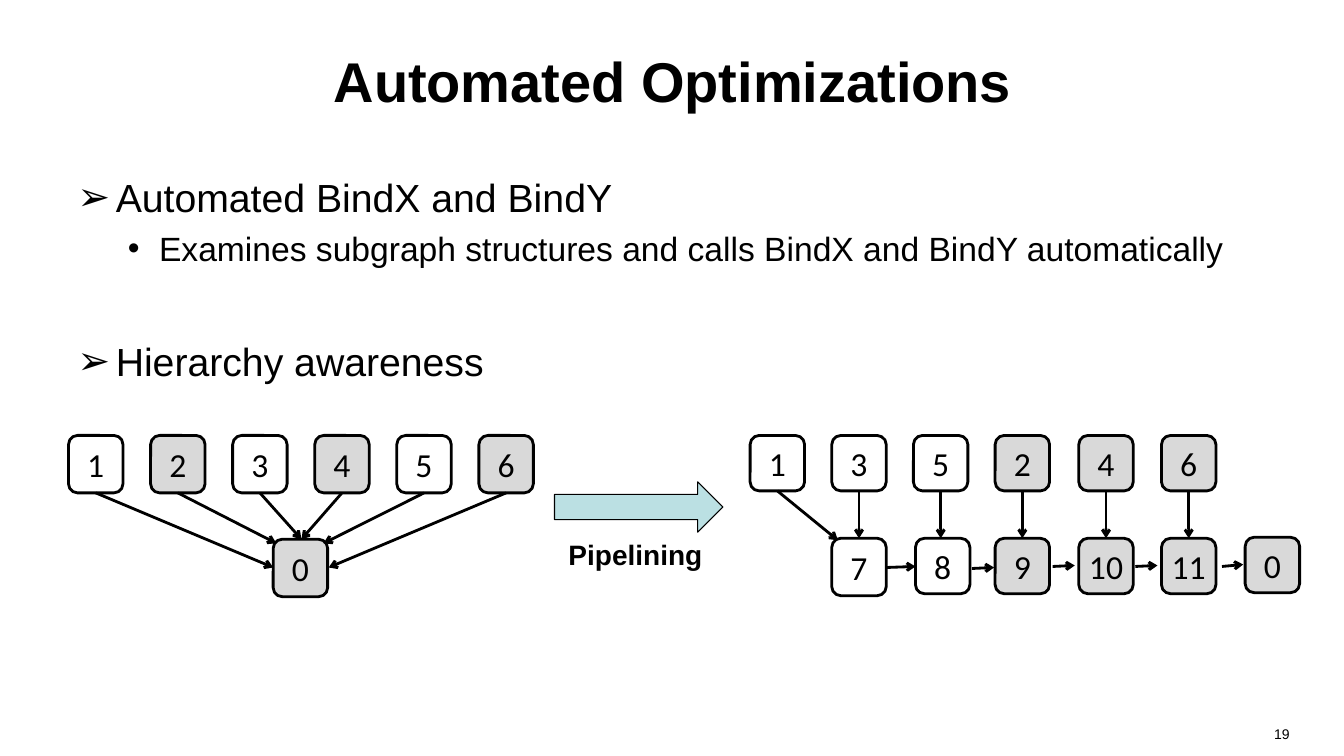
"""Build the slide on automated optimizations with its two subgraph diagrams."""
from lxml import etree
from pptx import Presentation
from pptx.dml.color import RGBColor
from pptx.enum.shapes import MSO_CONNECTOR, MSO_SHAPE
from pptx.enum.text import MSO_ANCHOR, PP_ALIGN
from pptx.oxml.ns import qn
from pptx.util import Inches, Pt

LEFT, CENTER, RIGHT = PP_ALIGN.LEFT, PP_ALIGN.CENTER, PP_ALIGN.RIGHT
TOP, MIDDLE = MSO_ANCHOR.TOP, MSO_ANCHOR.MIDDLE
ROUNDED, RIGHT_ARROW = MSO_SHAPE.ROUNDED_RECTANGLE, MSO_SHAPE.RIGHT_ARROW
STRAIGHT = MSO_CONNECTOR.STRAIGHT
BLACK, WHITE, GRAY, TEAL = "000000", "FFFFFF", "D9D9D9", "BBE0E3"


def color(value):
    return RGBColor.from_string(value)


def write(p, text, size, font="Arial", bold=False, align=LEFT):
    p.alignment = align
    r = p.add_run()
    r.text = text
    r.font.size = Pt(size)
    r.font.name = font
    r.font.bold = bold
    r.font.color.rgb = color(BLACK)


prs = Presentation()
prs.slide_width, prs.slide_height = Inches(13.33), Inches(7.5)
s = prs.slides.add_slide(prs.slide_layouts[6])

labels = [
    ("Automated Optimizations", 0.67, 0.17, 12, 1.25, 40, True, CENTER, MIDDLE),
    ("19", 9.78, 7.15, 3.11, 0.35, 10, False, RIGHT, TOP),
    ("Pipelining", 5.54, 5.28, 1.54, 0.44, 20, True, LEFT, TOP),
]
for text, x, y, w, h, size, bold, align, anchor in labels:
    tf = s.shapes.add_textbox(Inches(x), Inches(y), Inches(w), Inches(h)).text_frame
    tf.word_wrap = text != "Pipelining"
    tf.vertical_anchor = anchor
    write(tf.paragraphs[0], text, size, bold=bold, align=align)

bullets = [
    ("Automated BindX and BindY", 0, 0),
    ("Examines subgraph structures and calls BindX and BindY automatically", 1, 5.5),
    ("Hierarchy awareness", 0, 49),
]
levels = [("➢", 0.38, 0.38, 28), ("•", 0.81, 0.31, 24)]
tf = s.shapes.add_textbox(Inches(0.67), Inches(1.67), Inches(12), Inches(2.5)).text_frame
tf.word_wrap = True
for i, (text, level, space) in enumerate(bullets):
    mark, margin, hang, size = levels[level]
    p = tf.add_paragraph() if i else tf.paragraphs[0]
    p.level = level
    p.space_before = Pt(space)
    pPr = p._p.get_or_add_pPr()
    pPr.set("marL", str(Inches(margin)))
    pPr.set("indent", str(-Inches(hang)))
    etree.SubElement(pPr, qn("a:buFont")).set("typeface", "Arial")
    etree.SubElement(pPr, qn("a:buChar")).set("char", mark)
    write(p, text, size)

sp = s.shapes.add_shape(RIGHT_ARROW, Inches(5.5), Inches(4.78), Inches(1.67), Inches(0.5))
sp.shadow.inherit = False
sp.fill.solid()
sp.fill.fore_color.rgb = color(TEAL)
sp.line.color.rgb = color(BLACK)
sp.line.width = Pt(0.75)

node_w, row_top = 0.54, 4.32
star_x = [0.68 + 0.814 * i for i in range(6)]
chain_x = [7.44, 8.25, 9.06, 9.87, 10.7, 11.52]

star_nodes = [(str(i + 1), x, row_top, 0.57, (WHITE, GRAY)[i % 2])
              for i, x in enumerate(star_x)]
star_nodes.append(("0", 2.71, 5.35, 0.57, GRAY))
star_ends = [(2.71, 5.63), (2.74, 5.39), (2.99, 5.35),
             (2.99, 5.35), (3.21, 5.39), (3.26, 5.63)]
star_arrows = [(x + node_w / 2, 4.89, *end) for x, end in zip(star_x, star_ends)]

chain_nodes = [(text, x, row_top, 0.55, WHITE if i < 3 else GRAY)
               for i, (text, x) in enumerate(zip("135246", chain_x))]
chain_nodes += [
    ("7", 8.25, 5.34, 0.57, WHITE),
    ("8", 9.08, 5.34, 0.55, WHITE),
    ("9", 9.87, 5.34, 0.55, GRAY),
    ("10", 10.7, 5.34, 0.55, GRAY),
    ("11", 11.52, 5.34, 0.55, GRAY),
    ("0", 12.35, 5.33, 0.55, GRAY),
]
chain_arrows = [(x + node_w / 2, 4.87, x + node_w / 2, 5.34) for x in chain_x[1:]]
chain_arrows += [
    (7.71, 4.87, 8.31, 5.36),
    (8.79, 5.63, 9.08, 5.62),
    (9.64, 5.64, 9.86, 5.63),
    (10.44, 5.62, 10.66, 5.61),
    (11.26, 5.62, 11.48, 5.61),
    (12.12, 5.62, 12.33, 5.6),
]

for nodes, arrows in [(star_nodes, star_arrows), (chain_nodes, chain_arrows)]:
    group = s.shapes.add_group_shape()
    for text, x, y, h, fill in nodes:
        sp = group.shapes.add_shape(ROUNDED, Inches(x), Inches(y), Inches(node_w), Inches(h))
        sp.shadow.inherit = False
        sp.fill.solid()
        sp.fill.fore_color.rgb = color(fill)
        sp.line.color.rgb = color(BLACK)
        sp.line.width = Pt(2)
        tf = sp.text_frame
        tf.margin_left = tf.margin_right = tf.margin_top = tf.margin_bottom = 0
        tf.vertical_anchor = MIDDLE
        write(tf.paragraphs[0], text, 24, font="Calibri", align=CENTER)
    for ends in arrows:
        line = group.shapes.add_connector(STRAIGHT, *[Inches(v) for v in ends])
        line.line.color.rgb = color(BLACK)
        line.line.width = Pt(2)
        spPr = line._element.spPr
        etree.SubElement(spPr.find(qn("a:ln")), qn("a:tailEnd")).set("type", "arrow")
        etree.SubElement(spPr, qn("a:effectLst"))

prs.save("out.pptx")
